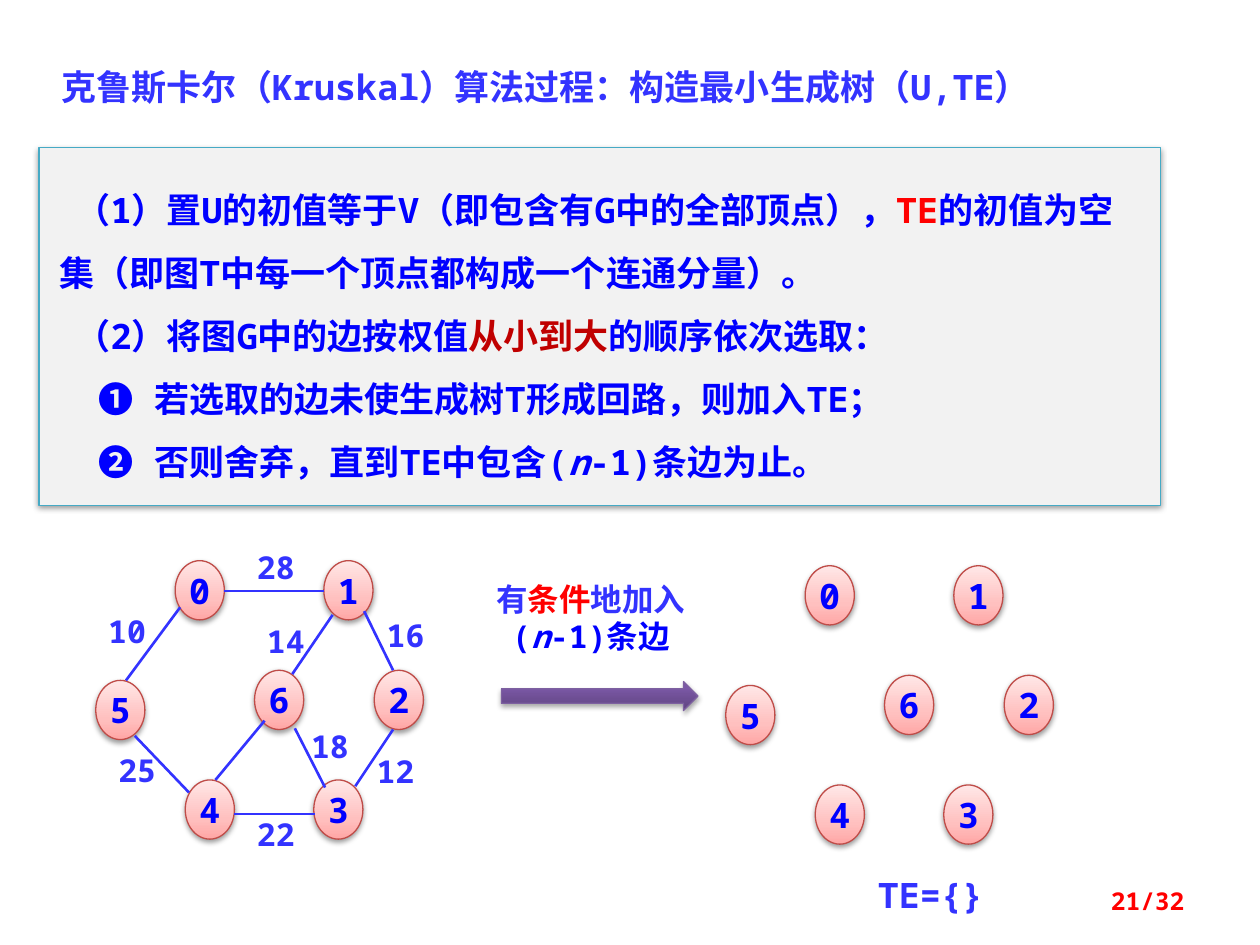
from copy import deepcopy

from lxml import etree
from pptx import Presentation
from pptx import util as u
from pptx.dml.color import RGBColor
from pptx.enum import shapes, text
from pptx.oxml.ns import qn

FONT = "Noto Sans Mono"
BLUE, VIOLET, RED, DARK_RED = "0000FF", "3333FF", "FF0000", "C00000"
PINK_STOPS = [(0, "FFA6A5"), (0.35, "FFC0BF"), (1, "FFE7E7")]
PURPLE_STOPS = [(0, "5F4480"), (0.8, "7B58A6"), (1, "7C57A8")]

# Vertex number: left, top
NODES = {0: (1.39, 4.45), 1: (2.57, 4.45), 5: (0.76, 5.4), 4: (1.47, 6.19),
         3: (2.49, 6.19), 6: (2.02, 5.32), 2: (2.97, 5.32)}
EDGES = [(1.78, 4.69, 2.57, 4.69), (1.43, 4.82, 1, 5.4), (1.07, 5.84, 1.5, 6.29),
         (1.86, 6.46, 2.5, 6.46), (1.71, 6.19, 2.1, 5.72), (2.34, 5.78, 2.58, 6.25),
         (2.64, 4.88, 2.32, 5.35), (2.89, 4.85, 3.12, 5.32), (3.12, 5.79, 2.82, 6.24)]
# Weight: left, top
WEIGHTS = {28: (1.94, 4.3), 10: (0.76, 4.81), 14: (2.02, 4.89), 25: (0.84, 5.91),
           18: (2.37, 5.72), 22: (1.94, 6.42), 16: (2.97, 4.84), 12: (2.89, 5.92)}

# First-line indent and coloured runs of each step
STEPS = [
    (0.13, [("（1）置U的初值等于V（即包含有G中的全部顶点），", BLUE), ("TE", RED),
            ("的初值为空集（即图T中每一个顶点都构成一个连通分量）。", BLUE)]),
    (0.13, [("（2）将图G中的边按权值", BLUE), ("从小到大", DARK_RED),
            ("的顺序依次选取：", BLUE)]),
    (0.31, [("❶ 若选取的边未使生成树T形成回路，则加入TE；", BLUE)]),
    (0.31, [("❷ 否则舍弃，直到TE中包含(", BLUE), ("n", BLUE, True),
            ("-1)条边为止。", BLUE)]),
]


def rgb(value):
    return RGBColor.from_string(value)


def inches(*values):
    return [u.Inches(v) for v in values]


def style_run(r, size, color, italic=False):
    r.font.name, r.font.size = FONT, u.Pt(size)
    r.font.bold, r.font.italic = True, italic
    r.font.color.rgb = rgb(color)
    ea = etree.SubElement(r.font._element, qn("a:ea"))
    ea.set("typeface", FONT)


def write_runs(p, runs, size, align=text.PP_ALIGN.LEFT):
    p.alignment = align
    for content, *look in runs:
        r = p.add_run()
        r.text = content
        style_run(r, size, *look)


def add_text(group, at, runs, size, align=text.PP_ALIGN.LEFT,
             anchor=text.MSO_ANCHOR.TOP):
    tf = group.add_textbox(*inches(*at)).text_frame
    tf.word_wrap = True
    tf.vertical_anchor = anchor
    write_runs(tf.paragraphs[0], runs, size, align)


def add_shadow(sp, alpha=38, dist=1.6):
    sp.shadow.inherit = False
    effects = sp._element.spPr.find(qn("a:effectLst"))
    shadow = etree.SubElement(effects, qn("a:outerShdw"), blurRad=str(u.Pt(3.1)),
                              dist=str(u.Pt(dist)), dir="5400000", rotWithShape="0")
    color = etree.SubElement(shadow, qn("a:srgbClr"), val="000000")
    etree.SubElement(color, qn("a:alpha"), val=str(alpha * 1000))


def fill_gradient(sp, stops):
    sp.fill.gradient()
    sp.fill.gradient_angle = 90
    stop_list = sp._element.spPr.find(".//" + qn("a:gsLst"))
    stop_list.append(deepcopy(stop_list[0]))
    for stop, (position, color) in zip(sp.fill.gradient_stops, stops):
        stop.position = position
        stop.color.rgb = rgb(color)


def add_outlined(group, kind, at, line):
    sp = group.add_shape(kind, *inches(*at))
    sp.line.color.rgb = rgb(line)
    sp.line.width = u.Pt(0.75)
    return sp


def add_nodes(group, dx=0, dy=0):
    for number, (x, y) in NODES.items():
        sp = add_outlined(group, shapes.MSO_SHAPE.OVAL,
                          (x + dx, y + dy, 0.39, 0.47), "BF4C48")
        fill_gradient(sp, PINK_STOPS)
        add_shadow(sp)
        tf = sp.text_frame
        tf.word_wrap = False
        tf.vertical_anchor = text.MSO_ANCHOR.MIDDLE
        write_runs(tf.paragraphs[0], [(str(number), BLUE)], 20, text.PP_ALIGN.CENTER)


def add_edge(group, ends):
    line = group.add_connector(shapes.MSO_CONNECTOR.STRAIGHT, *inches(*ends))
    line.line.color.rgb = rgb(VIOLET)
    line.line.width = u.Pt(1.5)
    etree.SubElement(line._element.spPr, qn("a:effectLst"))


def add_title(s):
    sp = s.shapes.title
    sp.left, sp.top, sp.width, sp.height = inches(0.39, 0.47, 8.26, 0.44)
    tf = sp.text_frame
    tf.text = "克鲁斯卡尔（Kruskal）算法过程：构造最小生成树（U,TE）"
    tf.word_wrap = True
    tf.auto_size = text.MSO_AUTO_SIZE.NONE
    tf.vertical_anchor = text.MSO_ANCHOR.TOP
    p = tf.paragraphs[0]
    p.alignment = text.PP_ALIGN.LEFT
    style_run(p.runs[0], 20, VIOLET)


def add_steps(s):
    sp = add_outlined(s.shapes, shapes.MSO_SHAPE.RECTANGLE,
                      (0.31, 1.17, 8.9, 2.84), "46AAC5")
    sp.fill.solid()
    sp.fill.fore_color.rgb = rgb("F2F2F2")
    add_shadow(sp)
    tf = sp.text_frame
    tf.word_wrap = True
    tf.vertical_anchor = text.MSO_ANCHOR.TOP
    tf.margin_left = tf.margin_right = tf.margin_top = tf.margin_bottom = u.Inches(0.16)
    for i, (indent, runs) in enumerate(STEPS):
        p = tf.add_paragraph() if i else tf.paragraphs[0]
        p.line_spacing = 1.5
        write_runs(p, runs, 20)
        p._p.get_or_add_pPr().set("indent", str(u.Inches(indent)))


def add_arrow(group):
    sp = add_outlined(group, shapes.MSO_SHAPE.RIGHT_ARROW,
                      (3.98, 5.41, 1.56, 0.23), "7D60A0")
    fill_gradient(sp, PURPLE_STOPS)
    add_shadow(sp, alpha=35, dist=1.8)
    caption = [("有", VIOLET), ("条件", RED), ("地加入", VIOLET),
               ("(", BLUE), ("n", BLUE, True), ("-1)条边", BLUE)]
    add_text(group, (3.83, 4.55, 1.72, 0.71), caption, 18, text.PP_ALIGN.CENTER)


def main():
    prs = Presentation()
    prs.slide_width, prs.slide_height = inches(10, 7.5)
    s = prs.slides.add_slide(prs.slide_layouts[5])
    add_title(s)
    add_steps(s)

    # Weighted graph
    graph = s.shapes.add_group_shape().shapes
    add_nodes(graph)
    for ends in EDGES:
        add_edge(graph, ends)
    for weight, (x, y) in WEIGHTS.items():
        add_text(graph, (x, y, 0.55, 0.4), [(str(weight), VIOLET)], 18)

    # Initial forest of single vertices
    add_nodes(s.shapes.add_group_shape().shapes, dx=5, dy=0.04)
    add_arrow(s.shapes.add_group_shape().shapes)
    add_text(s.shapes, (6.72, 6.88, 1.33, 0.44), [("TE={}", VIOLET)], 20,
             text.PP_ALIGN.CENTER)

    # Page number
    add_text(s.shapes, (7.17, 6.95, 2.33, 0.4), [("21/32", RED)], 14,
             text.PP_ALIGN.RIGHT, text.MSO_ANCHOR.MIDDLE)
    prs.save("out.pptx")


if __name__ == "__main__":
    main()
